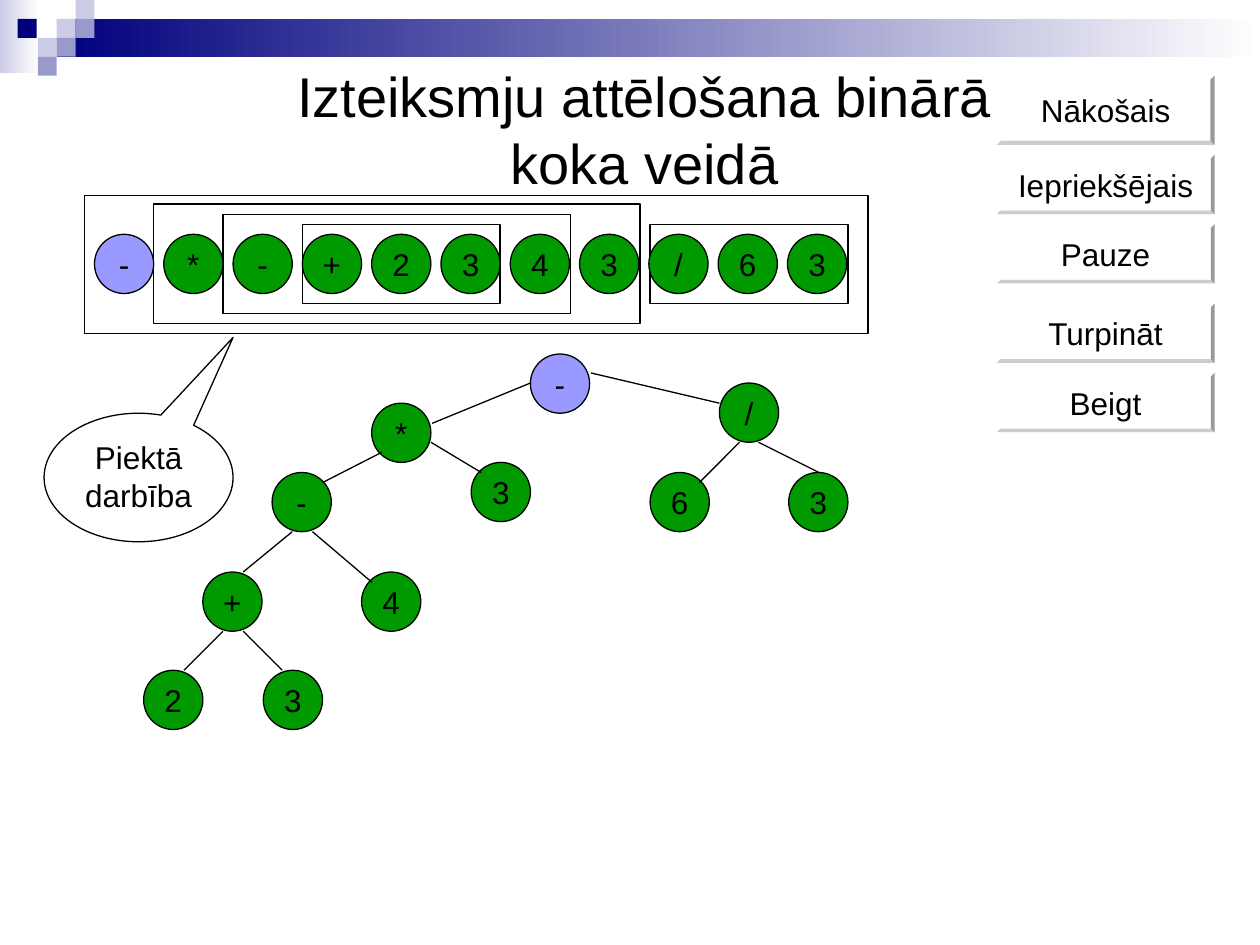
from pptx import Presentation
from pptx.dml.color import RGBColor
from pptx.enum.shapes import MSO_CONNECTOR, MSO_SHAPE
from pptx.enum.text import MSO_ANCHOR as ANCHOR, PP_ALIGN as ALIGN
from pptx.oxml.ns import qn
from pptx.util import Inches, Pt
from lxml import etree

BLACK = RGBColor(0x00, 0x00, 0x00)
WHITE = RGBColor(0xFF, 0xFF, 0xFF)
GREEN = RGBColor(0x00, 0x99, 0x00)
LILAC = RGBColor(0x99, 0x99, 0xFF)
NAVY = RGBColor(0x00, 0x00, 0x7D)
PALE = RGBColor(0xCC, 0xCC, 0xE6)
MID = RGBColor(0x99, 0x99, 0xCC)

NODE = 0.47      # diameter of a tree node
ROW_STEP = 0.55  # distance between neighbours in the expression row

BANDS = [(0, 0, 0.31, 0.58, PALE), (0.45, 0.15, 9.55, 0.3, NAVY)]
SQUARES = [(0.45, 0.15, PALE), (0.6, 0, PALE), (0.6, 0.15, MID), (0.3, 0.3, PALE),
           (0.14, 0.15, NAVY), (0.45, 0.3, MID), (0.3, 0.45, MID)]
FRAMES = [(0.67, 1.55, 6.22, 1.1), (5.16, 1.78, 1.57, 0.63), (1.22, 1.62, 3.86, 0.95),
          (1.77, 1.7, 2.76, 0.79), (2.4, 1.78, 1.57, 0.63)]
BUTTONS = [("Nākošais", 0.6, 0.55), ("Iepriekšējais", 1.23, 0.47), ("Pauze", 1.78, 0.47),
           ("Turpināt", 2.41, 0.47), ("Beigt", 2.96, 0.47)]
EXPRESSION = "-*-+2343/63"
TREE = [("-", 4.21, 2.81), ("*", 2.95, 3.2), ("/", 5.71, 3.04), ("-", 2.16, 3.75),
        ("3", 3.74, 3.67), ("6", 5.16, 3.75), ("3", 6.26, 3.75), ("+", 1.61, 4.54),
        ("4", 2.87, 4.54), ("2", 1.14, 5.32), ("3", 2.09, 5.32)]
BRANCHES = [(3.43, 3.36, 4.21, 3.04), (5.71, 3.2, 4.69, 2.96), (2.56, 3.83, 3.03, 3.59),
            (3.82, 3.75, 3.42, 3.51), (5.55, 3.83, 5.87, 3.51), (6.02, 3.51, 6.5, 3.75),
            (1.93, 4.54, 2.32, 4.22), (2.95, 4.62, 2.48, 4.22), (1.46, 5.32, 1.77, 5.01),
            (2.24, 5.32, 1.93, 5.01)]


class SlideBuilder:
    font = "Arial"
    line_width = Pt(0.75)

    def __init__(self, slide):
        self.s = slide

    def shape(self, kind, x, y, w, h, fill, outlined=True):
        sp = self.s.shapes.add_shape(kind, Inches(x), Inches(y), Inches(w), Inches(h))
        sp.shadow.inherit = False
        sp.fill.solid()
        sp.fill.fore_color.rgb = fill
        if outlined:
            sp.line.color.rgb = BLACK
            sp.line.width = self.line_width
        else:
            sp.line.fill.background()
        return sp

    def label(self, sp, text, size=18, wrap=False, anchor=ANCHOR.MIDDLE):
        tf = sp.text_frame
        tf.text = text
        tf.word_wrap = wrap
        tf.vertical_anchor = anchor
        p = tf.paragraphs[0]
        p.alignment = ALIGN.CENTER
        font = p.runs[0].font
        font.name, font.size = self.font, Pt(size)
        font.color.rgb = BLACK

    def band(self, x, y, w, h, color):
        """A bar that fades from color at the left to white."""
        sp = self.shape(MSO_SHAPE.RECTANGLE, x, y, w, h, color, outlined=False)
        sp.fill.gradient()
        sp.fill.gradient_angle = 0
        for stop, rgb in zip(sp.fill.gradient_stops, (color, WHITE)):
            stop.color.rgb = rgb

    def square(self, x, y, color):
        self.shape(MSO_SHAPE.RECTANGLE, x, y, 0.15, 0.15, color, outlined=False)

    def frame(self, x, y, w, h):
        self.shape(MSO_SHAPE.RECTANGLE, x, y, w, h, WHITE)

    def button(self, text, y, h):
        sp = self.shape(MSO_SHAPE.BEVEL, 7.91, y, 1.73, h, WHITE, outlined=False)
        sp.adjustments[0] = 0.06
        self.label(sp, text)

    def title(self, text, x, y, w, h):
        box = self.s.shapes.add_textbox(Inches(x), Inches(y), Inches(w), Inches(h))
        self.label(box, text, size=32, wrap=True, anchor=ANCHOR.TOP)

    def node(self, text, x, y, color):
        self.label(self.shape(MSO_SHAPE.OVAL, x, y, NODE, NODE, color), text)

    def branch(self, x1, y1, x2, y2):
        c = self.s.shapes.add_connector(MSO_CONNECTOR.STRAIGHT, Inches(x1), Inches(y1),
                                        Inches(x2), Inches(y2))
        c.line.color.rgb = BLACK
        c.line.width = self.line_width
        etree.SubElement(c._element.spPr, qn("a:effectLst"))

    def callout(self, text, x, y, w, h, tip_x, tip_y):
        """An oval balloon; the tip is given as a share of its size from the centre."""
        sp = self.shape(MSO_SHAPE.OVAL_CALLOUT, x, y, w, h, WHITE)
        sp.adjustments[0], sp.adjustments[1] = tip_x, tip_y
        self.label(sp, text, wrap=True, anchor=ANCHOR.TOP)


def main():
    prs = Presentation()
    prs.slide_width, prs.slide_height = Inches(10), Inches(7.5)
    b = SlideBuilder(prs.slides.add_slide(prs.slide_layouts[6]))

    for band in BANDS:
        b.band(*band)
    for square in SQUARES:
        b.square(*square)
    for frame in FRAMES:
        b.frame(*frame)
    for button in BUTTONS:
        b.button(*button)
    b.title("Izteiksmju attēlošana binārā koka veidā", 1.77, 0.44, 6.69, 1.17)

    row = [(sign, 0.75 + i * ROW_STEP, 1.86) for i, sign in enumerate(EXPRESSION)]
    for nodes in (row, TREE):
        for i, node in enumerate(nodes):
            b.node(*node, GREEN if i else LILAC)
    for branch in BRANCHES:
        b.branch(*branch)
    b.callout("Piektā darbība", 0.35, 3.28, 1.5, 1.02, 0.5, -1.09)

    prs.save("out.pptx")


if __name__ == "__main__":
    main()
